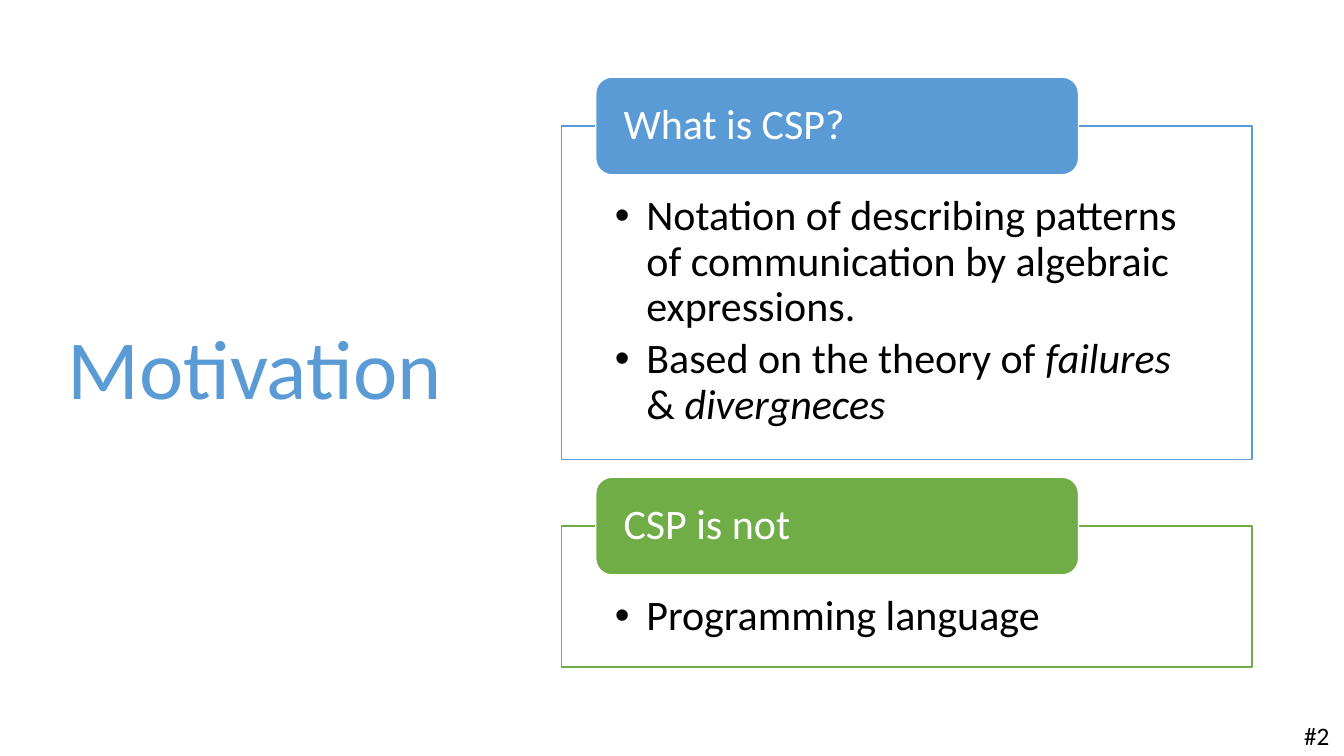
from lxml import etree
from pptx import Presentation
from pptx.dml.color import RGBColor
from pptx.enum.shapes import MSO_SHAPE
from pptx.enum.text import MSO_ANCHOR, PP_ALIGN
from pptx.oxml.ns import qn
from pptx.util import Pt

RECTANGLE, ROUNDED = MSO_SHAPE.RECTANGLE, MSO_SHAPE.ROUNDED_RECTANGLE
TOP, MIDDLE = MSO_ANCHOR.TOP, MSO_ANCHOR.MIDDLE
LEFT = PP_ALIGN.LEFT

COLORS = {"blue": "5B9BD5", "green": "70AD47", "white": "FFFFFF", "black": "000000"}
FONT = "Calibri"
BULLET_INDENT = 22.5
TAB_OFFSET, TAB_WIDTH, TAB_HEIGHT = 24.5, 344.9, 69.8

# Each item is a list of (text, italic) runs
SECTIONS = [
    ("What is CSP?", "blue", (401, 90, 493.2, 238.3), [
        [("Notation of describing patterns of communication by algebraic expressions.", False)],
        [("Based on the theory of ", False), ("failures", True),
         (" & ", False), ("divergneces", True)],
    ]),
    ("CSP is not", "green", (401, 375.8, 493.2, 100.8), [
        [("Programming language", False)],
    ]),
]


def color(name):
    return RGBColor.from_string(COLORS[name])


def set_values(target, values):
    for name, value in values.items():
        setattr(target, name, value)


def set_frame(shape, anchor, margins):
    frame = shape.text_frame
    sides = ("margin_left", "margin_top", "margin_right", "margin_bottom")
    set_values(frame, {"word_wrap": True, "vertical_anchor": anchor})
    set_values(frame, dict(zip(sides, map(Pt, margins))))
    return frame


def write_runs(paragraph, runs, size, color_name, line_spacing=0.9, space_after=0):
    set_values(paragraph, {"alignment": LEFT, "line_spacing": line_spacing,
                           "space_after": Pt(space_after)})
    for text, italic in runs:
        run = paragraph.add_run()
        run.text = text
        set_values(run.font, {"name": FONT, "size": Pt(size), "italic": italic})
        run.font.color.rgb = color(color_name)


def add_bullet(paragraph):
    properties = paragraph._p.get_or_add_pPr()
    properties.set("marL", str(Pt(BULLET_INDENT)))
    properties.set("indent", str(-Pt(BULLET_INDENT)))
    etree.SubElement(properties, qn("a:buFont")).set("typeface", "Arial")
    etree.SubElement(properties, qn("a:buChar")).set("char", "•")


def add_box(slide, kind, box, fill, line):
    shape = slide.shapes.add_shape(kind, *map(Pt, box))
    shape.shadow.inherit = False
    shape.fill.solid()
    shape.fill.fore_color.rgb = color(fill)
    shape.line.color.rgb = color(line)
    shape.line.width = Pt(1)
    return shape


def add_label(slide, text, box, size, color_name, anchor, line_spacing):
    label = slide.shapes.add_textbox(*map(Pt, box))
    frame = set_frame(label, anchor, (7.2, 3.6, 7.2, 3.6))
    write_runs(frame.paragraphs[0], [(text, False)], size, color_name, line_spacing)


def add_section(slide, heading, accent, box, items):
    left, top, _, _ = box

    # Outlined body with bullets
    body = add_box(slide, RECTANGLE, box, "white", accent)
    fill_color = body.fill._xPr.find(qn("a:solidFill"))[0]
    etree.SubElement(fill_color, qn("a:alpha")).set("val", "90000")
    frame = set_frame(body, TOP, (38.2, 49, 38.2, 16.5))
    for index, runs in enumerate(items):
        paragraph = frame.add_paragraph() if index else frame.paragraphs[0]
        write_runs(paragraph, runs, 30, "black", space_after=5)
        add_bullet(paragraph)

    # Heading tab centred on the top edge
    tab_box = (left + TAB_OFFSET, top - TAB_HEIGHT / 2, TAB_WIDTH, TAB_HEIGHT)
    tab = add_box(slide, ROUNDED, tab_box, accent, "white")
    frame = set_frame(tab, MIDDLE, (16.5, 3.5, 16.5, 3.5))
    write_runs(frame.paragraphs[0], [(heading, False)], 30, "white")


def build_motivation_slide(presentation):
    slide = presentation.slides.add_slide(presentation.slide_layouts[6])
    # Title
    add_label(slide, "Motivation", (41, 49, 299.5, 433.4), 60, "blue", MIDDLE, 0.9)
    # Sections
    for section in SECTIONS:
        add_section(slide, *section)
    # Slide number
    add_label(slide, "#2", (924.5, 511, 35.5, 29), 18, "black", TOP, 1.0)


presentation = Presentation()
set_values(presentation, {"slide_width": Pt(960), "slide_height": Pt(540)})
build_motivation_slide(presentation)
presentation.save("out.pptx")
